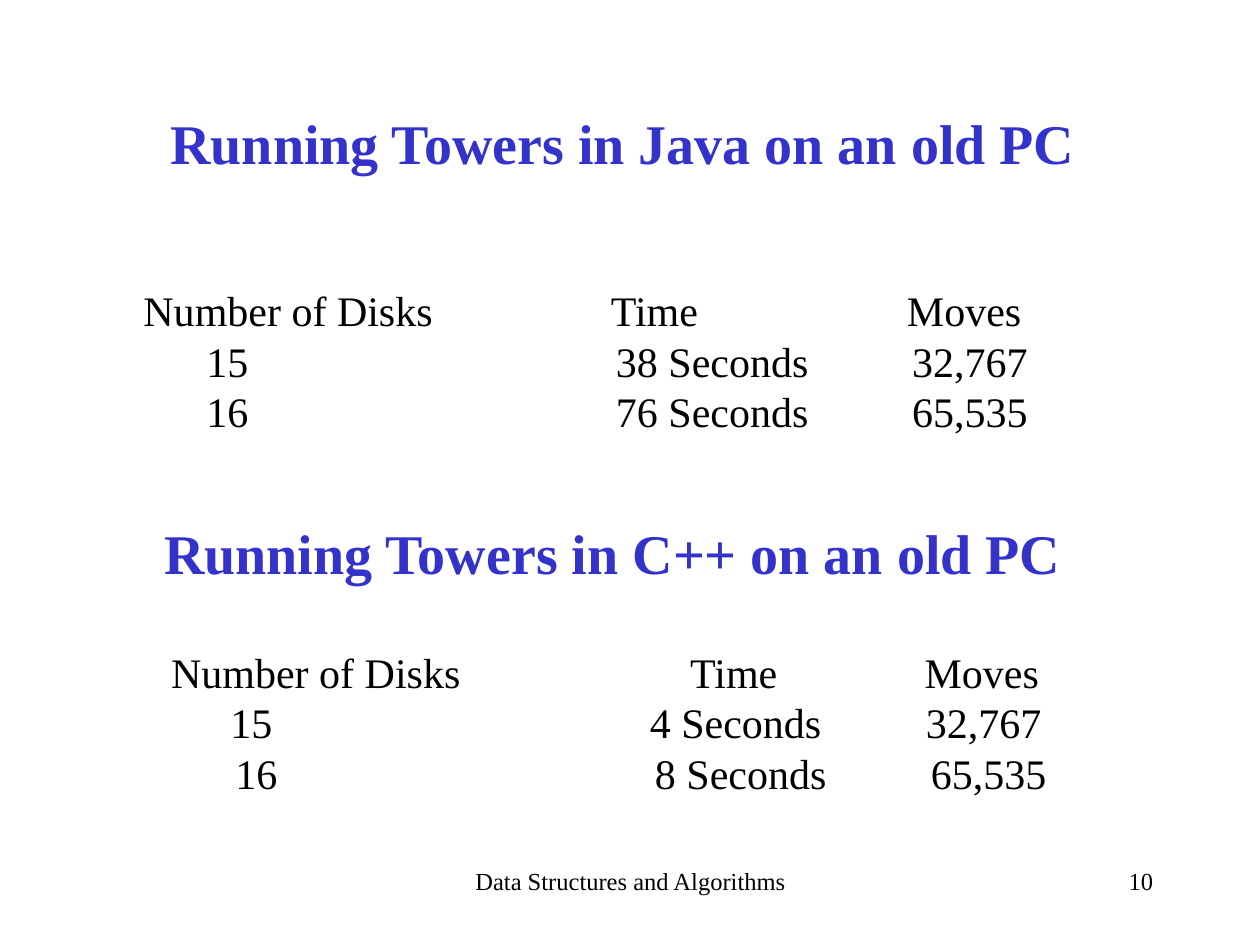
import pptx
import pptx.dml.color
import pptx.enum.shapes
import pptx.enum.text
import pptx.oxml.ns
import pptx.util
from lxml import etree

WIDTH, HEIGHT = 10, 7.5
ALIGN = pptx.enum.text.PP_ALIGN
ANCHOR = pptx.enum.text.MSO_ANCHOR
HEADING = {"size": pptx.util.Pt(32), "bold": True}
BODY = {"size": pptx.util.Pt(24)}
FOOTER = {"size": pptx.util.Pt(14)}

# Each row: cell texts, then the distance of each cell from the left edge.
JAVA_RUNS = [
    (["Number of Disks", "Time", "Moves"], [0, 3.71, 6.06]),
    (["15", "38 Seconds", "32,767"], [0.5, 3.75, 6.1]),
    (["16", "76 Seconds", "65,535"], [0.5, 3.75, 6.1]),
]
CPP_RUNS = [
    (["Number of Disks", "Time", "Moves"], [0, 4.12, 5.98]),
    (["15", "4 Seconds", "32,767"], [0.47, 3.8, 5.99]),
    (["16", "8 Seconds", "65,535"], [0.51, 3.84, 6.03]),
]


def color(hex_code):
    return pptx.dml.color.RGBColor.from_string(hex_code)


def inches(*lengths):
    return [pptx.util.Inches(length) for length in lengths]


def write(paragraph, text, font_format, hex_code="000000", align=ALIGN.LEFT):
    paragraph.alignment = align
    run = paragraph.add_run()
    run.text = text
    for name, value in {"name": "Times New Roman", **font_format}.items():
        setattr(run.font, name, value)
    run.font.color.rgb = color(hex_code)


def set_tabs(paragraph, stops):
    """Give the paragraph left tab stops, in inches."""
    qn = pptx.oxml.ns.qn
    tab_list = etree.SubElement(paragraph._p.get_or_add_pPr(), qn("a:tabLst"))
    for stop in inches(*stops):
        etree.SubElement(tab_list, qn("a:tab"), pos=str(stop), algn="l")


def add_heading(slide, left, top, text):
    heading = slide.shapes.add_shape(
        pptx.enum.shapes.MSO_SHAPE.RECTANGLE,
        *inches(left, top, 0.85 * WIDTH, 0.92))
    heading.shadow.inherit = False
    heading.fill.solid()
    heading.fill.fore_color.rgb = color("FFFFFF")
    heading.line.fill.background()
    frame = heading.text_frame
    frame.word_wrap = True
    frame.vertical_anchor = ANCHOR.MIDDLE
    write(frame.paragraphs[0], text, HEADING, "3333CC", ALIGN.CENTER)


def add_text_frame(slide, left, top, width, height):
    frame = slide.shapes.add_textbox(*inches(left, top, width, height)).text_frame
    frame.word_wrap = True
    return frame


def add_timings(slide, left, top, rows):
    """Lay the rows out in columns with tab stops."""
    frame = add_text_frame(slide, left, top, 7.23, 1.3)
    for index, (cells, stops) in enumerate(rows):
        paragraph = frame.add_paragraph() if index else frame.paragraphs[0]
        indented = stops[0] > 0
        write(paragraph, "\t" * indented + "\t".join(cells), BODY)
        set_tabs(paragraph, stops if indented else stops[1:])


def add_footer(slide, left, width, text, align):
    frame = add_text_frame(slide, left, 0.91 * HEIGHT, width, 0.5)
    write(frame.paragraphs[0], text, FOOTER, align=align)


def main():
    deck = pptx.Presentation()
    deck.slide_width, deck.slide_height = inches(WIDTH, HEIGHT)
    slide = deck.slides.add_slide(deck.slide_layouts[6])
    slide.background.fill.solid()
    slide.background.fill.fore_color.rgb = color("FFFFFF")

    add_footer(slide, 3.42, 3.17, "Data Structures and Algorithms", ALIGN.CENTER)
    add_footer(slide, 7.17, 2.08, "10", ALIGN.RIGHT)
    add_heading(slide, 0.75, 0.67, "Running Towers in Java on an old PC ")
    add_timings(slide, 1.04, 2.21, JAVA_RUNS)
    add_heading(slide, 0.67, 3.92, "Running Towers in C++ on an old PC ")
    add_timings(slide, 1.26, 5.08, CPP_RUNS)
    deck.save("out.pptx")


if __name__ == "__main__":
    main()
